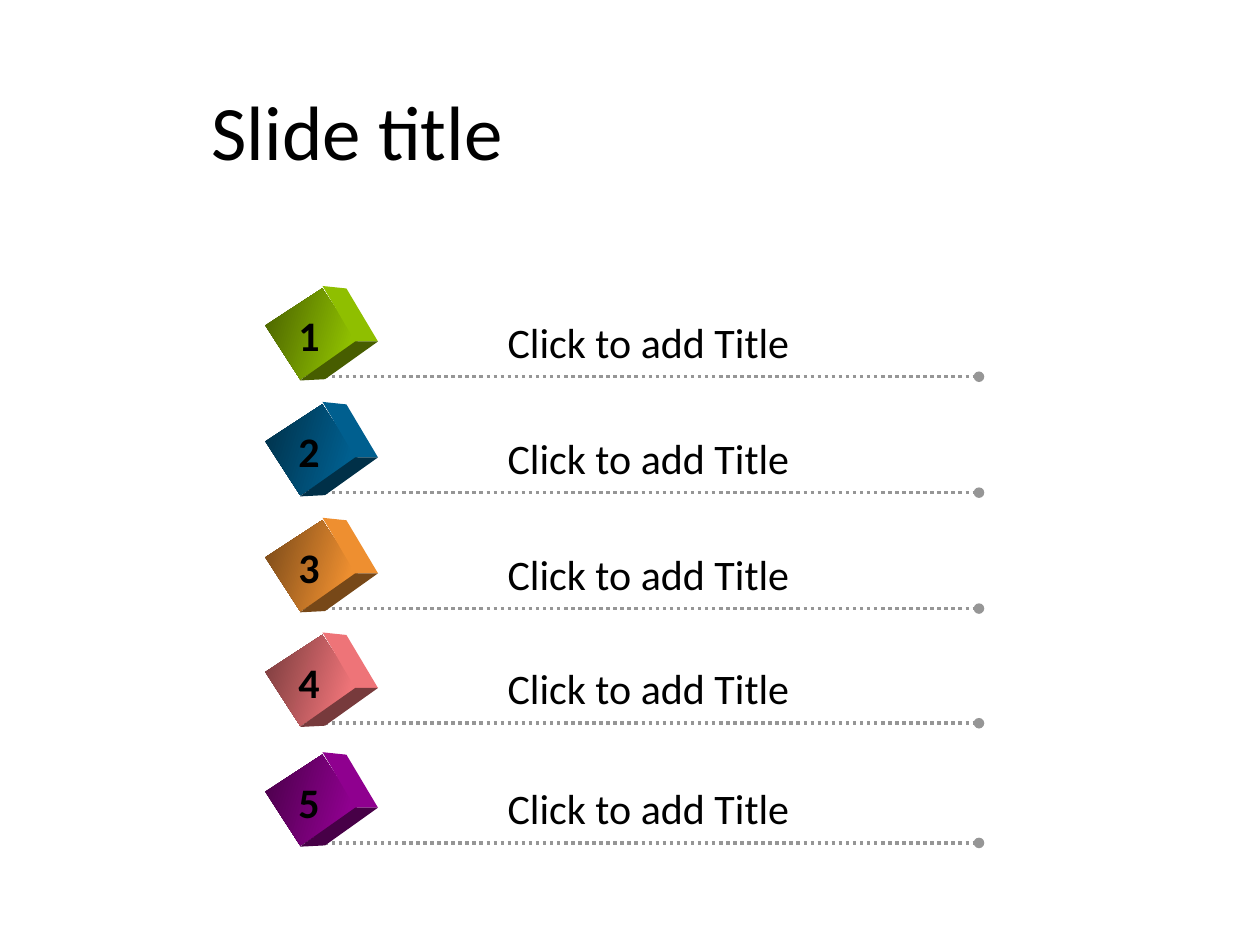
from dataclasses import dataclass

from lxml.etree import SubElement
from pptx import Presentation
from pptx.dml.color import RGBColor
from pptx.enum.dml import MSO_LINE
from pptx.enum.shapes import MSO_CONNECTOR, MSO_SHAPE
from pptx.enum.text import MSO_ANCHOR, MSO_AUTO_SIZE
from pptx.oxml.ns import qn
from pptx.shapes.shapetree import GroupShapes, SlideShapes
from pptx.util import Inches, Pt


@dataclass(frozen=True)
class Theme:
    font: str = "Calibri"
    title_size: int = 44
    item_size: int = 24
    text: str = "000000"
    rule: str = "969696"


@dataclass(frozen=True)
class Item:
    number: str
    rule_y: float
    light: str
    shade: str
    dark: str


THEME = Theme()
ITEM_TITLE = "Click to add Title"
ITEMS = (
    Item("1", 2.99, "8FBF00", "486000", "475D00"),
    Item("2", 3.91, "005F8F", "003048", "003048"),
    Item("3", 4.83, "EE8F30", "774818", "774818"),
    Item("4", 5.74, "EE7478", "773A3C", "773A3C"),
    Item("5", 6.69, "8F008F", "480048", "470047"),
)

# Cube corners: x on the slide, y relative to the item's rule
TOP, TOP_BACK = (2.56, -0.72), (2.75, -0.70)
RIGHT, RIGHT_BACK = (2.82, -0.28), (3.0, -0.28)
BOTTOM, BOTTOM_BACK = (2.38, 0.03), (2.58, 0.02)
FRONT_CENTER = (2.47, -0.34)
FRONT_SIZE = (0.51, 0.54)


def color(value: str) -> RGBColor:
    return RGBColor.from_string(value)


def add_text(shapes: SlideShapes | GroupShapes, text: str, left: float, top: float,
             width: float, height: float, size: int, bold: bool = False):
    box = shapes.add_textbox(Inches(left), Inches(top), Inches(width), Inches(height))
    frame = box.text_frame
    frame.text = text
    frame.word_wrap = False
    font = frame.paragraphs[0].runs[0].font
    font.name = THEME.font
    font.size = Pt(size)
    font.bold = bold
    font.color.rgb = color(THEME.text)
    return box


def add_title(shapes: SlideShapes) -> None:
    frame = add_text(shapes, "Slide title", 1.58, 0.35, 7.34, 1.45,
                     THEME.title_size).text_frame
    frame.word_wrap = True
    frame.vertical_anchor = MSO_ANCHOR.MIDDLE
    frame.paragraphs[0].line_spacing = 0.9


def add_rule(shapes: GroupShapes, y: float) -> None:
    """Draw a dotted line that ends in a dot."""
    rule = shapes.add_connector(MSO_CONNECTOR.STRAIGHT, Inches(2.52), Inches(y),
                                Inches(7.77), Inches(y))
    rule.line.color.rgb = color(THEME.rule)
    rule.line.width = Pt(2)
    rule.line.dash_style = MSO_LINE.ROUND_DOT
    properties = rule.line._get_or_add_ln()
    SubElement(properties, qn("a:tailEnd"), type="oval")
    SubElement(rule._element.spPr, qn("a:effectLst"))


def add_side(shapes: GroupShapes, corners: tuple, y: float, fill: str) -> None:
    points = [(Inches(x), Inches(y + offset)) for x, offset in corners]
    builder = shapes.build_freeform(*points[0])
    builder.add_line_segments(points[1:], close=True)
    side = builder.convert_to_shape()
    side.shadow.inherit = False
    side.fill.solid()
    side.fill.fore_color.rgb = color(fill)
    side.line.fill.background()


def add_cube(shapes: GroupShapes, item: Item) -> None:
    width, height = FRONT_SIZE
    center_x, offset = FRONT_CENTER
    front = shapes.add_shape(
        MSO_SHAPE.RECTANGLE, Inches(center_x - width / 2),
        Inches(item.rule_y + offset - height / 2), Inches(width), Inches(height))
    front.rotation = 57
    front.shadow.inherit = False
    front.line.fill.background()
    front.fill.gradient()
    front.fill.gradient_angle = 40
    for stop, value, position in zip(front.fill.gradient_stops,
                                     (item.shade, item.light), (0, 0.85)):
        stop.color.rgb = color(value)
        stop.position = position
    add_side(shapes, (TOP, TOP_BACK, RIGHT_BACK, RIGHT), item.rule_y, item.light)
    add_side(shapes, (BOTTOM, RIGHT, RIGHT_BACK, BOTTOM_BACK), item.rule_y, item.dark)


def add_item(shapes: SlideShapes, item: Item) -> None:
    group = shapes.add_group_shape().shapes
    add_rule(group, item.rule_y)
    add_cube(group, item)
    labels = (
        add_text(group, ITEM_TITLE, 3.93, item.rule_y - 0.53, 2.46, 0.51,
                 THEME.item_size),
        add_text(group, item.number, 2.27, item.rule_y - 0.58, 0.37, 0.51,
                 THEME.item_size, bold=True),
    )
    for label in labels:
        label.text_frame.auto_size = MSO_AUTO_SIZE.SHAPE_TO_FIT_TEXT


def main() -> None:
    deck = Presentation()
    deck.slide_width, deck.slide_height = Inches(10), Inches(7.5)
    slide = deck.slides.add_slide(deck.slide_layouts[6])
    add_title(slide.shapes)
    for item in ITEMS:
        add_item(slide.shapes, item)
    deck.save("out.pptx")


if __name__ == "__main__":
    main()
